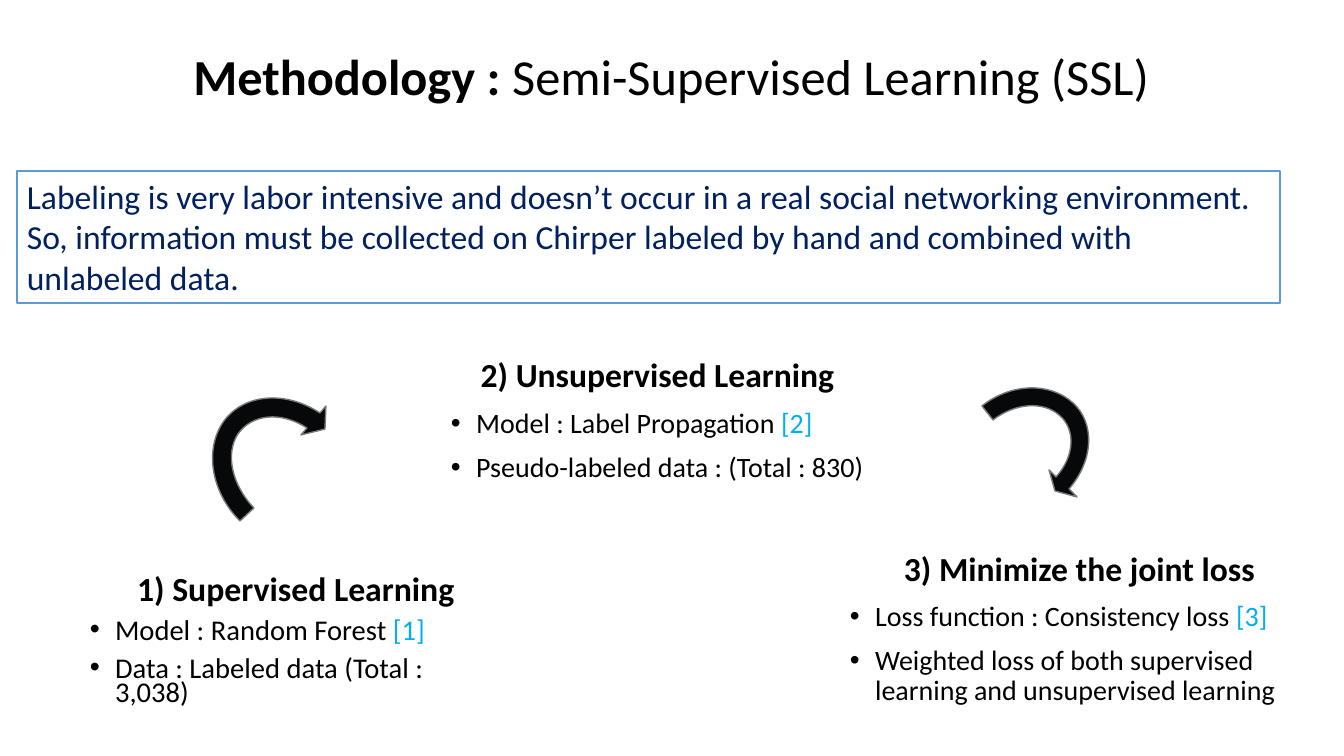
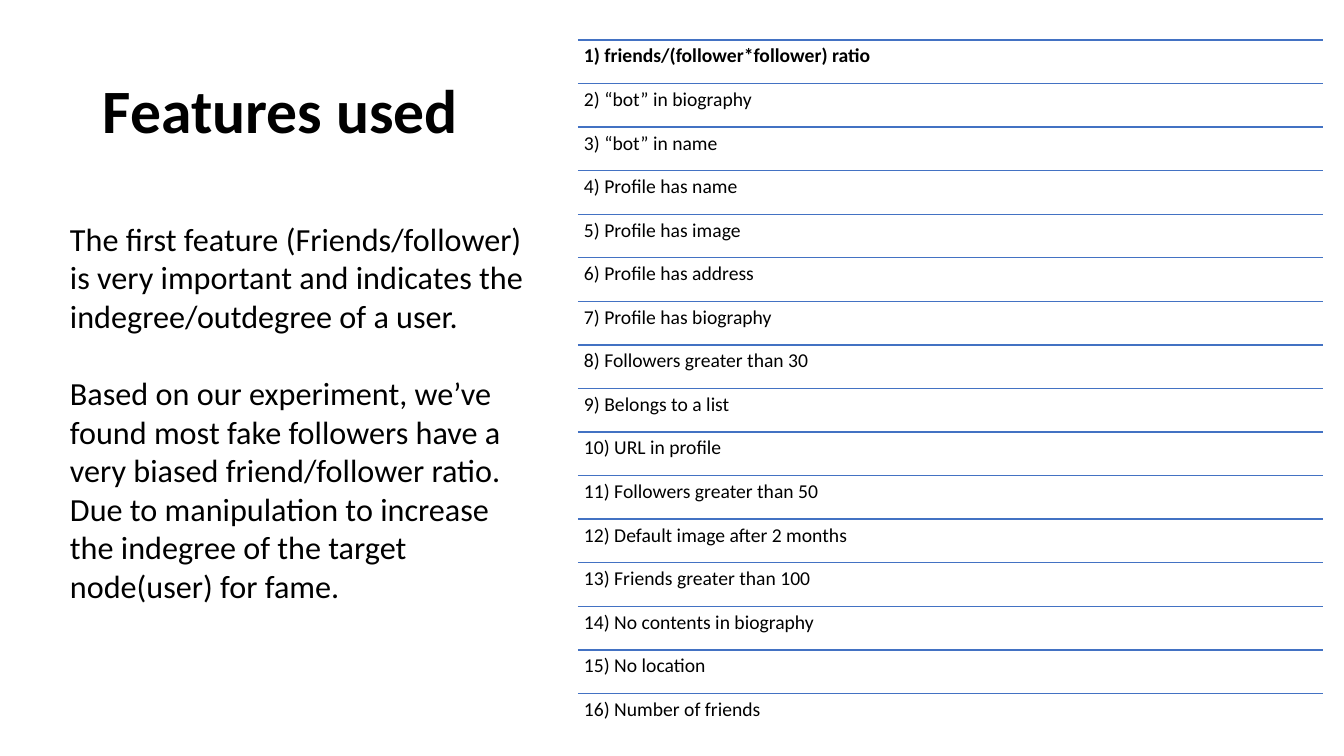
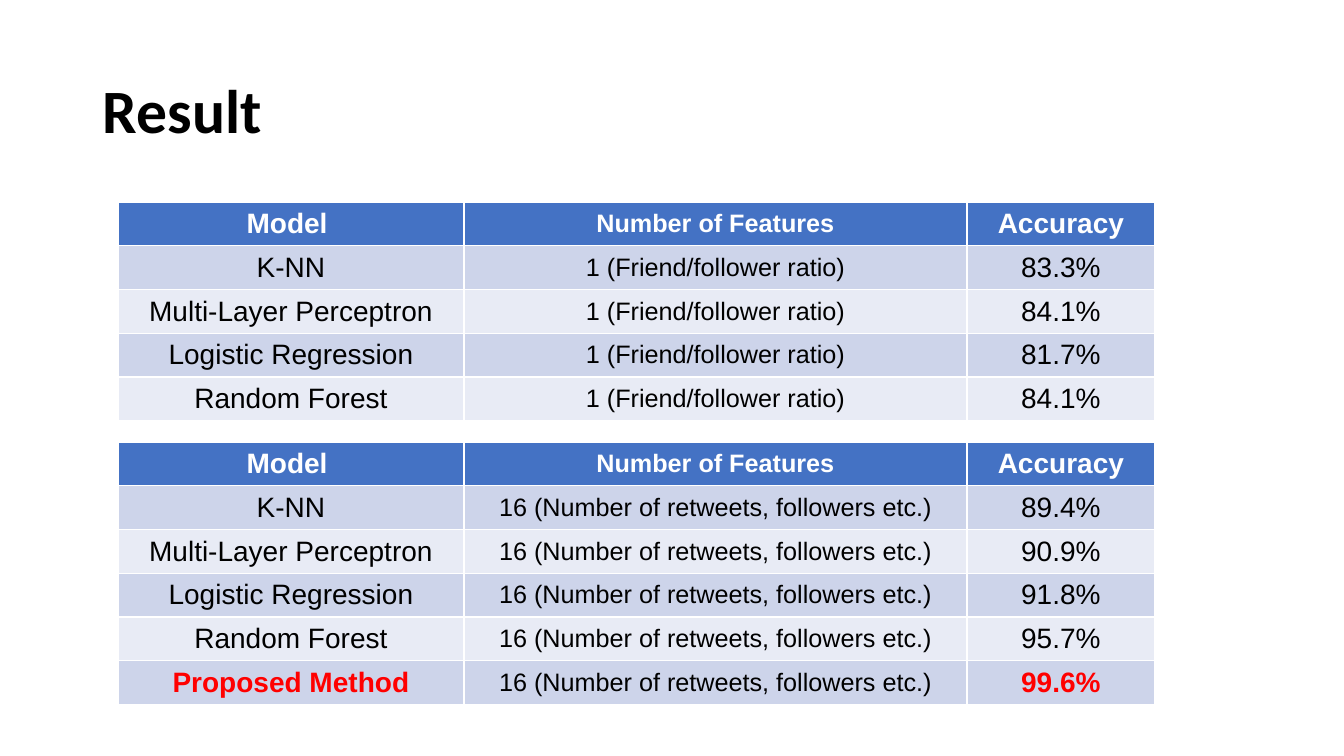
import math

import pptx
import pptx.util
import pptx.dml.color
import pptx.enum.shapes
import pptx.enum.text
import pptx.oxml
import pptx.oxml.ns
import lxml.etree

COLORS = {
    "text": "000000", "white": "FFFFFF", "navy": "002060", "citation": "00B0F0",
    "box_line": "5B9BD5", "rule": "4372C3", "arrow": "06080A", "arrow_line": "787878",
    "header": "4472C4", "band_dark": "CDD4EA", "band_light": "E8EBF5", "best": "FF0000",
}
EMU_PER_PIXEL = 914400 / 100.8
BODY_FONT, TABLE_FONT = "Calibri", "Arial"
LEFT = pptx.enum.text.PP_ALIGN.LEFT
CENTER = pptx.enum.text.PP_ALIGN.CENTER
TOP = pptx.enum.text.MSO_ANCHOR.TOP
MIDDLE = pptx.enum.text.MSO_ANCHOR.MIDDLE
TITLE_BOX = (93, 41, 1159, 146)


def px(length):
    """Turn pixels into EMU."""
    return pptx.util.Emu(round(length * EMU_PER_PIXEL))


def rgb(name):
    """Look up a named colour."""
    return pptx.dml.color.RGBColor.from_string(COLORS[name])


def add_child(parent, tag, **attributes):
    """Append a DrawingML element and return it."""
    child = lxml.etree.SubElement(parent, pptx.oxml.ns.qn(tag))
    for key, value in attributes.items():
        child.set(key, str(value))
    return child


def style_run(run, size, color="text", bold=False, font=BODY_FONT):
    """Set the font of one run."""
    run.font.name = font
    run.font.size = pptx.util.Pt(size)
    run.font.bold = bold
    run.font.color.rgb = rgb(color)


def style_paragraph(paragraph, align=LEFT, spacing=None, before=0):
    """Set alignment and spacing of one paragraph."""
    paragraph.alignment = align
    if spacing:
        paragraph.line_spacing = spacing
    paragraph.space_before = pptx.util.Pt(before)


def style_outlined(shape, fill, line):
    """Give a shape a flat fill and a thin outline."""
    shape.shadow.inherit = False
    shape.fill.solid()
    shape.fill.fore_color.rgb = rgb(fill)
    shape.line.color.rgb = rgb(line)
    shape.line.width = pptx.util.Pt(1)


def add_bullet(paragraph):
    """Give a paragraph a hanging round bullet."""
    properties = paragraph._p.get_or_add_pPr()
    properties.set("marL", "228600")
    properties.set("indent", "-228600")
    add_child(add_child(properties, "a:buClr"), "a:srgbClr", val=COLORS["text"])
    add_child(properties, "a:buFont", typeface="Arial")
    add_child(properties, "a:buChar", char="•")


def add_text_frame(slide, box, anchor=TOP, inset=None):
    """Place a wrapping text box and return its frame."""
    frame = slide.shapes.add_textbox(*map(px, box)).text_frame
    frame.word_wrap = True
    frame.vertical_anchor = anchor
    if inset is not None:
        frame.margin_left = frame.margin_right = px(inset)
        frame.margin_top = frame.margin_bottom = px(inset)
    return frame


def add_title(slide, bold_part, light_part="", box=TITLE_BOX, size=44, align=LEFT):
    """Write the slide title, with an optional light second part."""
    title = add_text_frame(slide, box, MIDDLE).paragraphs[0]
    style_paragraph(title, align, 0.9)
    for part, bold in ((bold_part, True), (light_part, False)):
        if part:
            run = title.add_run()
            run.text = part
            style_run(run, size, bold=bold)


def add_step(slide, box, heading, points, sizes=(24, 20), spacing=0.9):
    """Write a centred step heading with (point, citation) bullets below."""
    frame = add_text_frame(slide, box)
    frame.text = heading
    style_paragraph(frame.paragraphs[0], CENTER, spacing)
    style_run(frame.paragraphs[0].runs[0], sizes[0], bold=True)
    for point, citation in points:
        paragraph = frame.add_paragraph()
        paragraph.text = point
        style_paragraph(paragraph, LEFT, spacing, 10)
        add_bullet(paragraph)
        style_run(paragraph.runs[0], sizes[1])
        if citation:
            run = paragraph.add_run()
            run.text = citation
            style_run(run, sizes[1], "citation")


def add_motivation(slide, box, sentences):
    """Draw the outlined statement box."""
    statement = slide.shapes.add_shape(
        pptx.enum.shapes.MSO_SHAPE.RECTANGLE, *map(px, box))
    style_outlined(statement, "white", "box_line")
    frame = statement.text_frame
    frame.word_wrap = True
    frame.vertical_anchor = TOP
    frame.text = "\n".join(sentences)
    for paragraph in frame.paragraphs:
        style_paragraph(paragraph)
        style_run(paragraph.runs[0], 24, "navy")


def turn_back(point, box, rotation):
    """Undo a clockwise rotation of a point about the middle of its box."""
    angle = math.radians(-rotation)
    middle_x, middle_y = box[2] / 2, box[3] / 2
    x, y = point[0] - middle_x, point[1] - middle_y
    return (middle_x + x * math.cos(angle) - y * math.sin(angle),
            middle_y + x * math.sin(angle) + y * math.cos(angle))


def add_curved_arrow(slide, box, rotation, start, segments):
    """Draw a rotated arrow; one-point segments are lines, three-point ones curves.

    Points are given as they appear after the rotation, from the box corner.
    """
    left, top, width, height = map(px, box)
    builder = slide.shapes.build_freeform(left, top)
    builder.add_line_segments([
        (left + width, top), (left + width, top + height), (left, top + height)])
    arrow = builder.convert_to_shape()
    outline = arrow._element.spPr.find(".//" + pptx.oxml.ns.qn("a:path"))
    for corner in list(outline):
        outline.remove(corner)
    tags = {1: "a:lnTo", 3: "a:cubicBezTo"}
    steps = [("a:moveTo", [start])] + [(tags[len(part)], part) for part in segments]
    for tag, points in steps:
        step = add_child(outline, tag)
        for point in points:
            x, y = turn_back(point, box, rotation)
            add_child(step, "a:pt", x=int(px(x)), y=int(px(y)))
    add_child(outline, "a:close")
    arrow.rotation = rotation
    style_outlined(arrow, "arrow", "arrow_line")


def add_feature_list(slide, box, features):
    """Write one feature a row, each under a rule; the first is bold."""
    left, top, width, height = box
    pitch = height / len(features)
    for index, feature in enumerate(features):
        y = top + index * pitch
        rule = slide.shapes.add_connector(
            pptx.enum.shapes.MSO_CONNECTOR.STRAIGHT,
            px(left), px(y), px(left + width), px(y))
        rule.line.color.rgb = rgb("rule")
        rule.line.width = pptx.util.Pt(1)
        add_child(rule._element.spPr, "a:effectLst")
        frame = add_text_frame(slide, (left, y, width, pitch), inset=6)
        frame.text = f"{index + 1}) {feature}"
        style_paragraph(frame.paragraphs[0], LEFT, 0.9)
        style_run(frame.paragraphs[0].runs[0], 14, bold=index == 0)


def add_explanation(slide, box, passages):
    """Write the passages of running text, one line apart."""
    frame = add_text_frame(slide, box, inset=10)
    frame.text = "\n".join(passages)
    for index, paragraph in enumerate(frame.paragraphs):
        style_paragraph(paragraph, before=27.5 if index else 0)
        style_run(paragraph.runs[0], 23)


def add_accuracy_table(slide, corner, feature_note, accuracies, best=None):
    """Build a table of models and accuracies, with the best model in red."""
    rows = [("Model ", "Number of Features", "Accuracy")]
    rows += [(model, feature_note, accuracy) for model, accuracy in accuracies]
    widths, row_height = (346, 503, 188), 41
    table = slide.shapes.add_table(
        len(rows), len(widths), px(corner[0]), px(corner[1]),
        px(sum(widths)), px(row_height * len(rows))).table
    for column, width in zip(table.columns, widths):
        column.width = px(width)
    for r, row in enumerate(rows):
        table.rows[r].height = px(row_height)
        fill = "header" if r == 0 else "band_dark" if r % 2 else "band_light"
        for c, value in enumerate(row):
            cell = table.cell(r, c)
            cell.text = value
            cell.vertical_anchor = MIDDLE
            cell.fill.solid()
            cell.fill.fore_color.rgb = rgb(fill)
            highlight = row[0] == best and c != 1
            color = "white" if r == 0 else "best" if highlight else "text"
            paragraph = cell.text_frame.paragraphs[0]
            style_paragraph(paragraph, CENTER)
            style_run(paragraph.runs[0], 18 if c == 1 else 20, color,
                      r == 0 or highlight, TABLE_FONT)


def build_methodology(slide):
    """Three learning steps joined by curved arrows."""
    add_title(slide, "Methodology : ", "Semi-Supervised Learning (SSL)",
              (120, 6, 1103, 146), 36, CENTER)
    add_step(slide, (80, 574, 432, 118), "1) Supervised Learning", [
        ("Model : Random Forest ", "[1]"),
        ("Data : Labeled data (Total : 3,038)", ""),
    ], (24.1, 20.4), 0.7)
    add_step(slide, (441, 354, 433, 155), "2) Unsupervised Learning", [
        ("Model : Label Propagation ", "[2]"),
        ("Pseudo-labeled data : (Total : 830)", ""),
    ])
    add_motivation(slide, (17, 171, 1263, 132), [
        "Labeling is very labor intensive and doesn’t occur in a real social "
        "networking environment.",
        "So, information must be collected on Chirper labeled by hand and combined "
        "with unlabeled data.",
    ])
    add_step(slide, (840, 547, 479, 186), "3) Minimize the joint loss", [
        ("Loss function : Consistency loss ", "[3]"),
        ("Weighted loss of both supervised learning and unsupervised learning", ""),
    ])
    add_curved_arrow(slide, (211, 381, 153, 185), 315, (29, 140), [
        [(0, 111), (-7, 68), (13, 40)], [(33, 13), (74, 9), (109, 32)],
        [(115, 25)], [(114, 48)], [(90, 54)], [(96, 47)],
        [(70, 30), (41, 33), (27, 53)], [(14, 73), (21, 104), (43, 127)],
    ])
    add_curved_arrow(slide, (948, 369, 142, 170), 52.2, (34, 37), [
        [(63, 14), (102, 13), (125, 34)], [(147, 54), (146, 91), (121, 120)],
        [(129, 128)], [(107, 122)], [(101, 101)], [(108, 108)],
        [(127, 87), (128, 60), (111, 46)], [(95, 32), (67, 34), (45, 51)],
    ])


def build_features(slide):
    """Explanation on the left, ruled feature list on the right."""
    add_title(slide, "Features used")
    add_feature_list(slide, (578, 40, 745, 697), [
        "friends/(follower*follower) ratio", "“bot” in biography", "“bot” in name",
        "Profile has name", "Profile has image", "Profile has address",
        "Profile has biography", "Followers greater than 30", "Belongs to a list",
        "URL in profile", "Followers greater than 50", "Default image after 2 months",
        "Friends greater than 100", "No contents in biography", "No location",
        "Number of friends",
    ])
    add_explanation(slide, (60, 209, 486, 468), [
        "The first feature (Friends/follower) is very important and indicates the "
        "indegree/outdegree of a user.",
        "Based on our experiment, we’ve found most fake followers have a very biased "
        "friend/follower ratio. Due to manipulation to increase the indegree of the "
        "target node(user) for fame.",
    ])


def build_result(slide):
    """Accuracy with one feature above accuracy with sixteen."""
    add_title(slide, "Result")
    models = ("K-NN", "Multi-Layer Perceptron", "Logistic Regression",
              "Random Forest", "Proposed Method")
    add_accuracy_table(slide, (118, 442), "16 (Number of retweets, followers etc.)",
                       zip(models, ("89.4%", "90.9%", "91.8%", "95.7%", "99.6%")),
                       best="Proposed Method")
    add_accuracy_table(slide, (118, 202), "1 (Friend/follower ratio)",
                       zip(models, ("83.3%", "84.1%", "81.7%", "84.1%")))


def main():
    """Build and save the presentation."""
    deck = pptx.Presentation()
    deck.slide_width, deck.slide_height = px(1344), px(756)
    blank = deck.slide_layouts[6]
    for build in (build_methodology, build_features, build_result):
        build(deck.slides.add_slide(blank))
    deck.save("out.pptx")


main()
